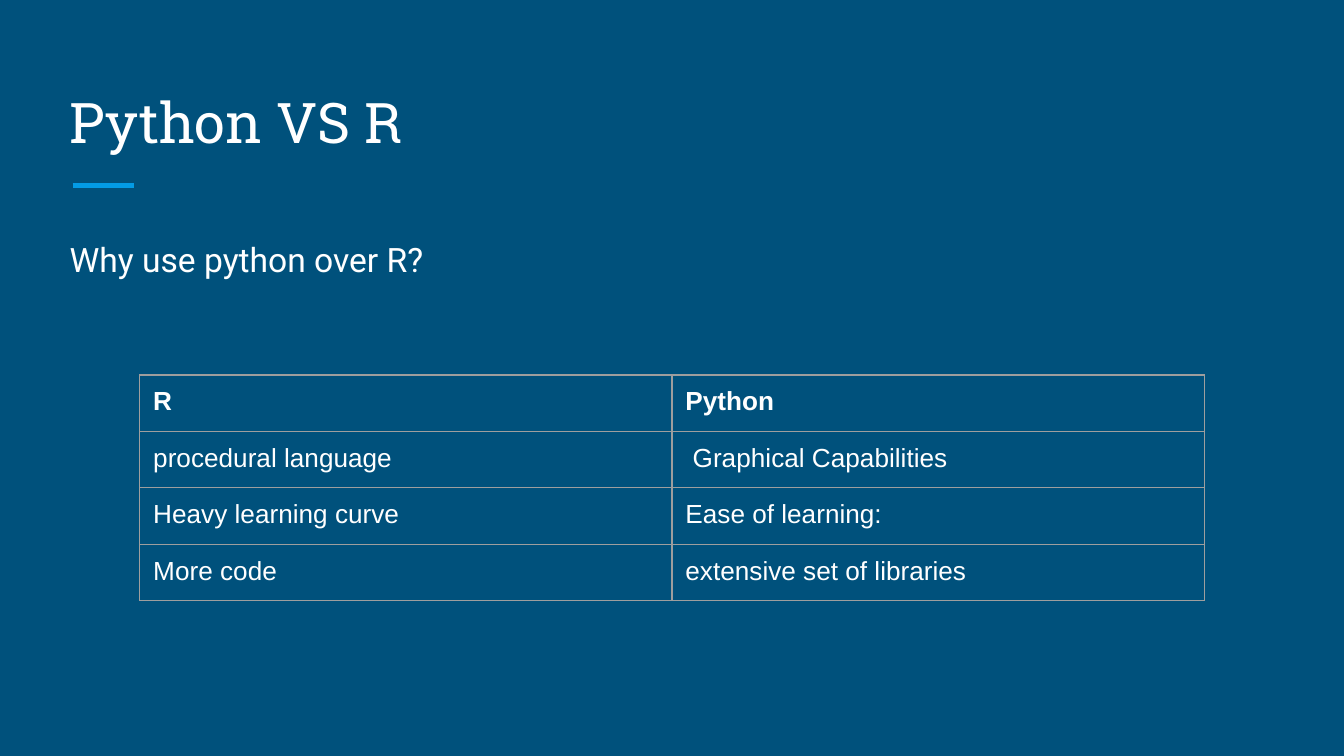
from lxml import etree
from pptx import Presentation
from pptx.dml.color import RGBColor
from pptx.enum.shapes import MSO_CONNECTOR
from pptx.enum.text import MSO_ANCHOR
from pptx.oxml.ns import qn
from pptx.util import Inches, Pt

TITLE = "Python VS R"
QUESTION = "Why use python over R?"
COMPARISON = [
    ("R", "Python"),
    ("procedural language", " Graphical Capabilities"),
    ("Heavy learning curve", "Ease of learning:"),
    ("More code", "extensive set of libraries"),
]
COLORS = {"background": "00517C", "accent": "039BE5", "text": "FFFFFF", "border": "9E9E9E"}
SLIDE_WIDTH = Inches(10)
SLIDE_HEIGHT = SLIDE_WIDTH * 9 // 16
COLUMN_WIDTH, ROW_HEIGHT = 3.96, 0.42


def color(name):
    return RGBColor.from_string(COLORS[name])


def set_margins(target, vertical=0.1):
    target.margin_left = target.margin_right = Inches(0.1)
    target.margin_top = target.margin_bottom = Inches(vertical)


def write(text_frame, text, font_name, size, bold=False):
    text_frame.text = text
    paragraph = text_frame.paragraphs[0]
    font = paragraph.runs[0].font
    font.name, font.size, font.bold = font_name, Pt(size), bold
    font.color.rgb = color("text")
    return paragraph


def add_text(slide, top, height, text, font_name, size, anchor):
    text_frame = slide.shapes.add_textbox(
        Inches(0.42), Inches(top), Inches(9.15), Inches(height)
    ).text_frame
    text_frame.word_wrap = True
    text_frame.vertical_anchor = anchor
    set_margins(text_frame)
    return write(text_frame, text, font_name, size)


def add_accent(slide):
    accent = slide.shapes.add_connector(
        MSO_CONNECTOR.STRAIGHT, Inches(0.54), Inches(1.38), Inches(1), Inches(1.38)
    )
    accent.line.color.rgb = color("accent")
    accent.line.width = Pt(3)
    etree.SubElement(accent._element.spPr, qn("a:effectLst"))


def add_borders(cell):
    properties = cell._tc.get_or_add_tcPr()
    for position, side in enumerate(("a:lnL", "a:lnR", "a:lnT", "a:lnB")):
        line = etree.Element(qn(side), w=str(Pt(0.75)))
        fill = etree.SubElement(line, qn("a:solidFill"))
        etree.SubElement(fill, qn("a:srgbClr"), val=COLORS["border"])
        properties.insert(position, line)


def add_comparison(slide):
    row_count, column_count = len(COMPARISON), len(COMPARISON[0])
    table = slide.shapes.add_table(
        row_count, column_count, Inches(1.04), Inches(2.79),
        Inches(COLUMN_WIDTH * column_count), Inches(ROW_HEIGHT * row_count),
    ).table
    table.first_row = table.horz_banding = False
    for row_index, row in enumerate(COMPARISON):
        for column_index, text in enumerate(row):
            cell = table.cell(row_index, column_index)
            cell.fill.background()
            set_margins(cell, vertical=0.09)
            write(cell.text_frame, text, "Arial", 14, bold=row_index == 0)
            add_borders(cell)


def main():
    presentation = Presentation()
    presentation.slide_width, presentation.slide_height = SLIDE_WIDTH, SLIDE_HEIGHT
    slide = presentation.slides.add_slide(presentation.slide_layouts[6])
    slide.background.fill.solid()
    slide.background.fill.fore_color.rgb = color("background")
    add_accent(slide)
    add_text(slide, 0.5, 0.75, TITLE, "Roboto Slab", 30, MSO_ANCHOR.BOTTOM)
    question = add_text(slide, 1.63, 0.6, QUESTION, "Roboto", 18, MSO_ANCHOR.TOP)
    question.line_spacing = 1.15
    question.space_after = Pt(16)
    add_comparison(slide)
    presentation.save("out.pptx")


if __name__ == "__main__":
    main()
